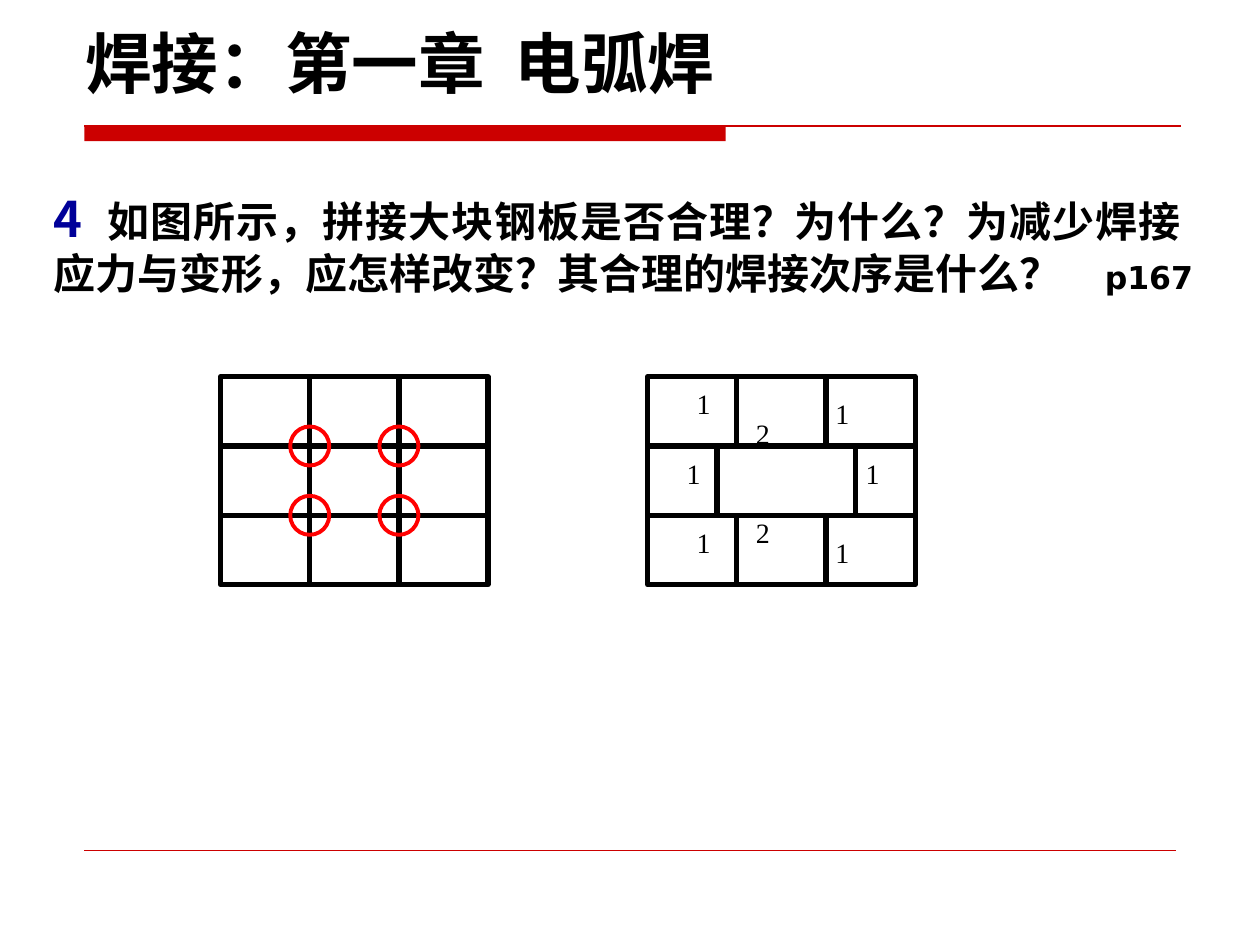
from dataclasses import dataclass
from itertools import accumulate, product

from lxml.etree import SubElement
from pptx import Presentation
from pptx.dml.color import RGBColor as Rgb
from pptx.enum.shapes import MSO_CONNECTOR as Link, MSO_SHAPE as Form
from pptx.enum.text import MSO_ANCHOR as Anchor, PP_ALIGN as Align
from pptx.oxml.ns import qn
from pptx.util import Inches, Pt


@dataclass(frozen=True)
class Theme:
    ink: str = "000000"
    accent: str = "CC0000"
    number: str = "000099"
    warning: str = "FF0000"
    sans: str = "DejaVu Sans"
    serif: str = "Times New Roman"
    chinese: str = "Noto Sans CJK SC"
    title: int = 38
    lead: int = 28
    body: int = 24
    note: int = 18
    label: int = 16


def add_text(paragraph, text, *, size, font, color, chinese, bold=False):
    run = paragraph.add_run()
    run.text = text
    run.font.size = Pt(size)
    run.font.name = font
    run.font.bold = bold
    run.font.color.rgb = Rgb.from_string(color)
    SubElement(run.font._element, qn("a:ea")).set("typeface", chinese)


class Board:
    COLUMNS, ROWS = 100, 75

    def __init__(self, deck, theme):
        self.theme = theme
        self.column = deck.slide_width / self.COLUMNS
        self.row = deck.slide_height / self.ROWS
        self.slide = deck.slides.add_slide(deck.slide_layouts[6])

    def place(self, left, top, width, height):
        return (round(left * self.column), round(top * self.row),
                round(width * self.column), round(height * self.row))

    def shape(self, form, box, *, fill=None, line=None, weight=0.75):
        shape = self.slide.shapes.add_shape(form, *self.place(*box))
        shape.shadow.inherit = False
        if fill:
            shape.fill.solid()
            shape.fill.fore_color.rgb = Rgb.from_string(fill)
        else:
            shape.fill.background()
        if line:
            shape.line.color.rgb = Rgb.from_string(line)
            shape.line.width = Pt(weight)
        else:
            shape.line.fill.background()

    def rule(self, left, right, row, weight):
        start_x, y, end_x, _ = self.place(left, row, right, 0)
        rule = self.slide.shapes.add_connector(Link.STRAIGHT, start_x, y, end_x, y)
        rule.line.color.rgb = Rgb.from_string(self.theme.accent)
        rule.line.width = Pt(weight)
        SubElement(rule._element.spPr, qn("a:effectLst"))

    def text(self, box, parts, *, inset=True, anchor=Anchor.TOP, align=Align.LEFT, spacing=None):
        frame = self.slide.shapes.add_textbox(*self.place(*box)).text_frame
        frame.word_wrap = True
        frame.vertical_anchor = anchor
        frame.margin_left = frame.margin_right = Inches(0.1 if inset else 0)
        frame.margin_top = frame.margin_bottom = Inches(0.05 if inset else 0)
        paragraph = frame.paragraphs[0]
        paragraph.alignment = align
        if spacing:
            paragraph.line_spacing = Pt(spacing)
        for words, style in parts:
            add_text(paragraph, words, **{"color": self.theme.ink, "chinese": self.theme.chinese, **style})

    def plates(self, left, top, height, courses):
        for course, widths in enumerate(courses):
            for start, width in zip(accumulate(widths, initial=left), widths):
                self.shape(Form.RECTANGLE, (start, top + course * height, width, height),
                           line=self.theme.ink, weight=3)

    def ring(self, x, y, size):
        self.shape(Form.OVAL, (x - size / 2, y - size / 2, size, size),
                   line=self.theme.warning, weight=2.25)


def main():
    deck = Presentation()
    deck.slide_width, deck.slide_height = Inches(10), Inches(7.5)
    theme = Theme()
    board = Board(deck, theme)

    board.shape(Form.RECTANGLE, (6.7, 10, 50.9, 1.2), fill=theme.accent)
    board.rule(6.7, 93.7, 10, 0.75)
    board.rule(6.7, 93.3, 67.5, 0.25)

    board.text((5.8, 0.3, 85.8, 8.3),
               [("焊接：第一章  电弧焊", dict(size=theme.title, font=theme.sans, bold=True))],
               anchor=Anchor.BOTTOM)
    question = "如图所示，拼接大块钢板是否合理？为什么？为减少焊接应力与变形，应怎样改变？其合理的焊接次序是什么？"
    board.text((3.3, 15.1, 91.4, 9.7),
               [("4  ", dict(size=theme.lead, font=theme.chinese, color=theme.number, bold=True)),
                (question, dict(size=theme.body, font=theme.serif, bold=True))],
               align=Align.JUSTIFY, spacing=29)

    wrong_left, right_left, top = 17.5, 51.4, 29.9
    width, height = 7.08, 5.5
    even = [width] * 3
    staggered = [5.5, 11, 4.74]
    board.plates(wrong_left, top, height, [even] * 3)
    board.plates(right_left, top, height, [even, staggered, even])
    for column, row in product((1, 2), repeat=2):
        board.ring(wrong_left + column * width, top + row * height, 3.1)

    weld_order = [("1", 55.3, 30.7), ("1", 54.5, 36.2), ("1", 55.3, 41.7),
                  ("1", 68.7, 36.2), ("1", 66.3, 42.5), ("1", 66.3, 31.5),
                  ("2", 60, 33.1), ("2", 60, 40.9)]
    for step, left, row in weld_order:
        board.text((left, row, 2.4, 2.7),
                   [(step, dict(size=theme.label, font=theme.serif))], inset=False)

    board.text((86.7, 20, 10.8, 4),
               [("p167", dict(size=theme.note, font=theme.sans, bold=True))])
    deck.save("out.pptx")


if __name__ == "__main__":
    main()
